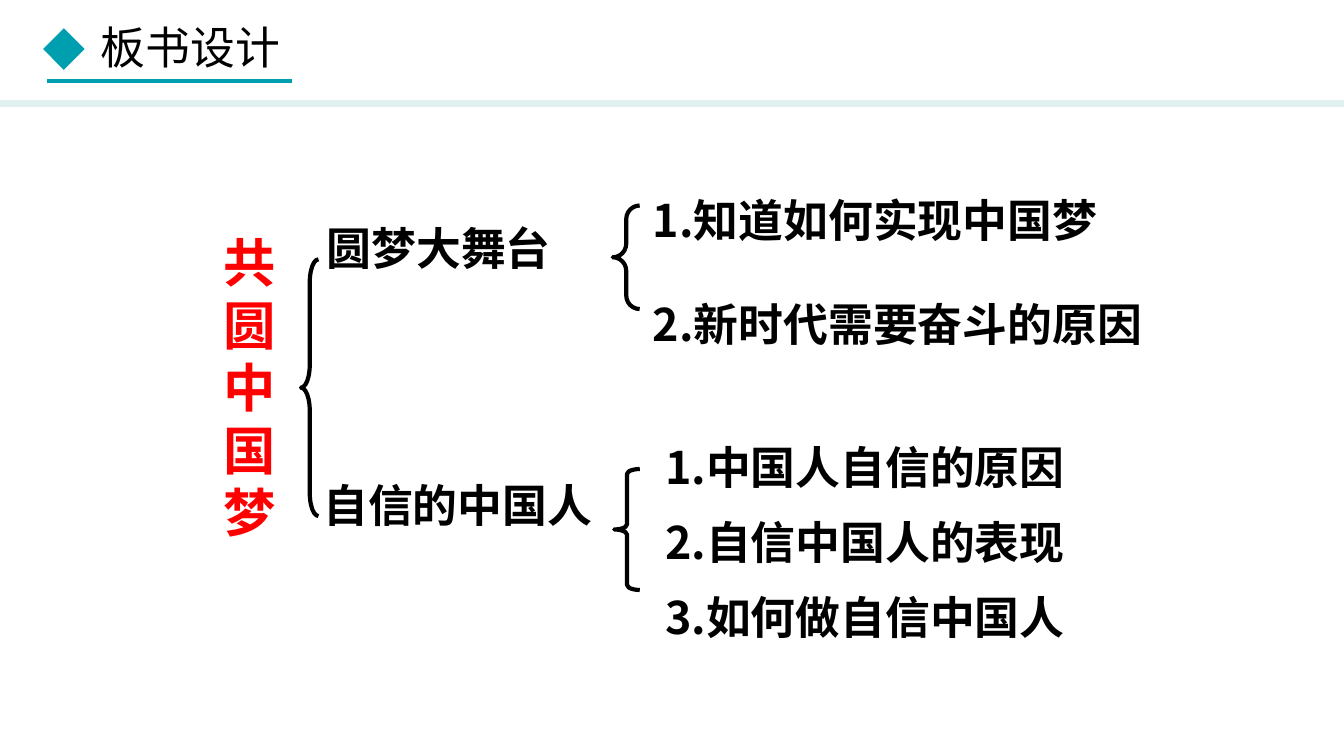
import pptx
import pptx.dml.color
import pptx.enum.shapes
import pptx.enum.text
import pptx.oxml.ns
import pptx.util
import lxml.etree

Inches = pptx.util.Inches
Pt = pptx.util.Pt
Shape = pptx.enum.shapes.MSO_SHAPE
Align = pptx.enum.text.PP_ALIGN
Anchor = pptx.enum.text.MSO_ANCHOR
qn = pptx.oxml.ns.qn

TEAL = "009FB0"
PALE = "E0F1EF"
BLACK = "000000"
RED = "FF0000"


def colour(value):
    return pptx.dml.color.RGBColor.from_string(value)


def apply(target, values):
    for name, value in values.items():
        setattr(target, name, value)


class Board:
    font_name = "Noto Sans CJK SC"

    def __init__(self, slide):
        self.slide = slide

    def shape(self, kind, box):
        shape = self.slide.shapes.add_shape(kind, *map(Inches, box))
        shape.shadow.inherit = False
        shape.fill.background()
        shape.line.fill.background()
        return shape

    def text(self, box, lines, size=24, fill=BLACK, bold=True, kind=None,
             frame_format=None, paragraph_format=None, gap=0):
        if kind is None:
            shape = self.slide.shapes.add_textbox(*map(Inches, box))
        else:
            shape = self.shape(kind, box)
        frame = shape.text_frame
        apply(frame, {"word_wrap": True, "vertical_anchor": Anchor.MIDDLE, **(frame_format or {})})
        for index, line in enumerate(lines):
            paragraph = frame.add_paragraph() if index else frame.paragraphs[0]
            apply(paragraph, paragraph_format or {})
            if index:
                paragraph.space_before = Pt(gap)
            run = paragraph.add_run()
            run.text = line
            apply(run.font, {"name": self.font_name, "size": Pt(size), "bold": bold})
            run.font.color.rgb = colour(fill)
            east_asian = lxml.etree.SubElement(run.font._element, qn("a:ea"))
            east_asian.set("typeface", self.font_name)

    def line(self, start, end, stroke, width):
        connector = self.slide.shapes.add_connector(
            pptx.enum.shapes.MSO_CONNECTOR.STRAIGHT, *map(Inches, start + end))
        connector.line.color.rgb = colour(stroke)
        connector.line.width = Pt(width)
        lxml.etree.SubElement(connector._element.spPr, qn("a:effectLst"))

    def diamond(self, box, fill):
        shape = self.shape(Shape.DIAMOND, box)
        shape.fill.solid()
        shape.fill.fore_color.rgb = colour(fill)

    def brace(self, box, curve):
        shape = self.shape(Shape.LEFT_BRACE, box)
        shape.adjustments[0] = curve
        shape.line.color.rgb = colour(BLACK)
        shape.line.width = Pt(2.25)


def main():
    presentation = pptx.Presentation()
    width = Inches(10)
    apply(presentation, {"slide_width": width, "slide_height": width * 9 // 16})
    board = Board(presentation.slides.add_slide(presentation.slide_layouts[6]))

    board.text((0.68, 0.11, 1.81, 0.48), ["板书设计"], bold=False,
               frame_format={"margin_left": Inches(0.07), "margin_right": Inches(0.07),
                             "margin_top": Inches(0), "margin_bottom": Inches(0)})
    board.diamond((0.32, 0.21, 0.31, 0.31), TEAL)
    board.line((0.35, 0.6), (2.17, 0.6), TEAL, 2)
    board.line((0, 0.77), (10, 0.77), PALE, 3.5)

    for box, curve in (
        ((2.24, 1.93, 0.13, 1.91), 1.315),
        ((4.56, 1.53, 0.2, 0.77), 0.507),
        ((4.57, 3.49, 0.19, 0.9), 0.197),
    ):
        board.brace(box, curve)

    centred = {"alignment": Align.CENTER}
    board.text((1.54, 1.63, 0.49, 2.5), ["共圆中国梦"], size=28, fill=RED, kind=Shape.ROUNDED_RECTANGLE,
               paragraph_format={**centred, "line_spacing": Pt(33.5)})
    board.text((2.13, 1.39, 2.27, 0.91), ["圆梦大舞台"], paragraph_format=centred)
    board.text((2.16, 3.3, 2.49, 0.91), ["自信的中国人"], paragraph_format=centred)

    board.text((4.76, 1.1, 4.18, 1.65), ["1.知道如何实现中国梦", "2.新时代需要奋斗的原因"],
               frame_format={"margin_top": Inches(0.24)}, gap=26.8)
    board.text((4.85, 3.33, 4.07, 1.45), ["1.中国人自信的原因", "2.自信中国人的表现", "3.如何做自信中国人"],
               frame_format={"vertical_anchor": Anchor.TOP},
               paragraph_format={"line_spacing": 0.7}, gap=20.2)

    presentation.save("out.pptx")


if __name__ == "__main__":
    main()
